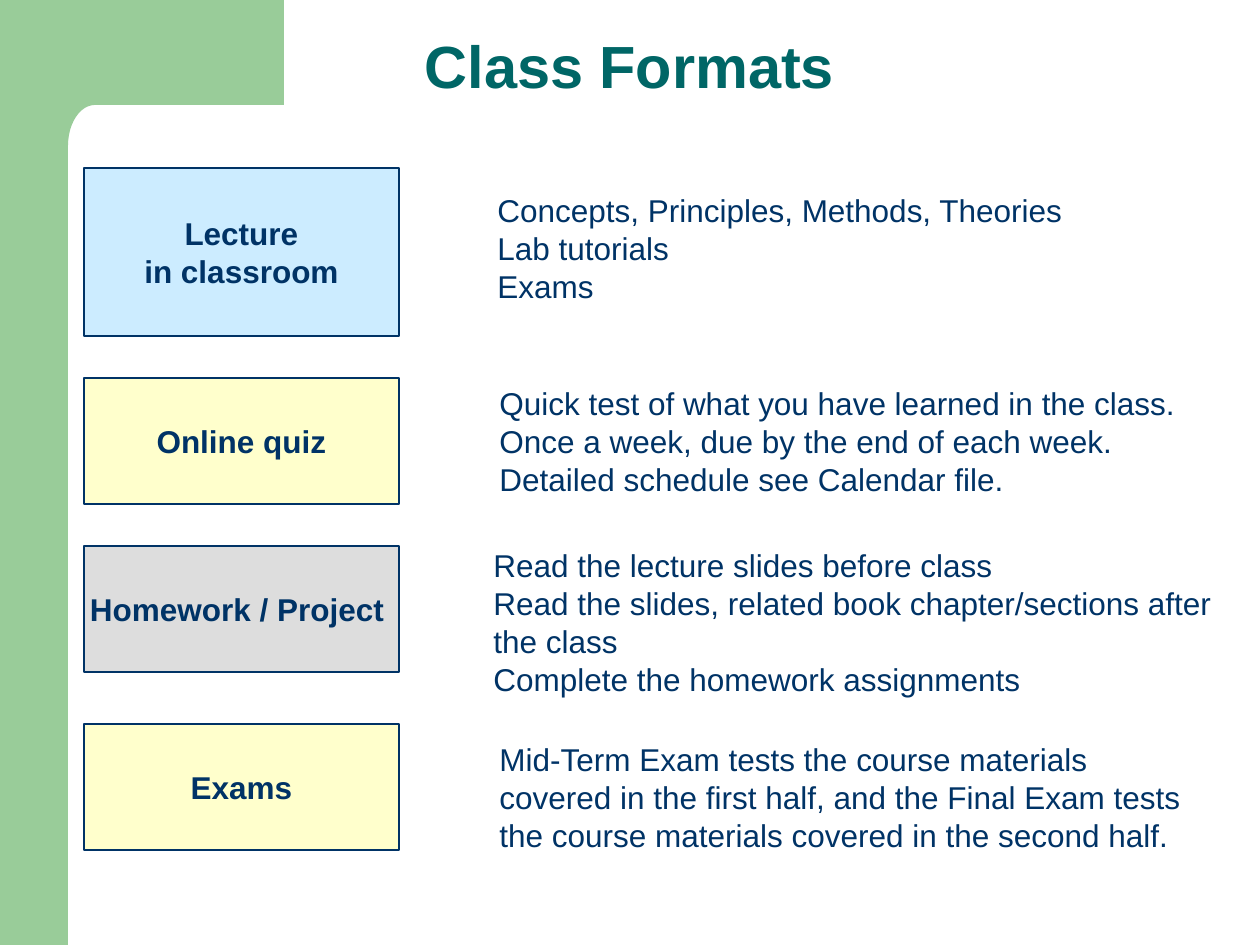
"""Build the Class Formats slide."""
from math import cos, pi, sin

from pptx import Presentation
from pptx.dml.color import RGBColor
from pptx.enum.shapes import MSO_SHAPE
from pptx.enum.text import MSO_ANCHOR, MSO_AUTO_SIZE, PP_ALIGN
from pptx.util import Inches, Pt

RECTANGLE = MSO_SHAPE.RECTANGLE
MIDDLE, TOP = MSO_ANCHOR.MIDDLE, MSO_ANCHOR.TOP
CENTER, LEFT = PP_ALIGN.CENTER, PP_ALIGN.LEFT
FIT_SHAPE, NO_FIT = MSO_AUTO_SIZE.SHAPE_TO_FIT_TEXT, MSO_AUTO_SIZE.NONE

GREEN = RGBColor(0x99, 0xCC, 0x99)
TEAL = RGBColor(0x00, 0x66, 0x66)
NAVY = RGBColor(0x00, 0x33, 0x66)
BLUE = RGBColor(0xCC, 0xEC, 0xFF)
YELLOW = RGBColor(0xFF, 0xFF, 0xCC)
GRAY = RGBColor(0xDD, 0xDD, 0xDD)

FONT = "Arial"
EMU_PER_PX = Inches(1) / 126
SLIDE_SIZE = (1260, 945)
LABEL_LEFT, LABEL_WIDTH = 84, 315

FORMATS = [
    (["Lecture", "in classroom"], BLUE, 168, 168, (485, 185, 753, 126),
     ["Concepts, Principles, Methods, Theories", "Lab tutorials", "Exams"]),
    (["Online quiz"], YELLOW, 378, 126, (487, 378, 709, 127),
     ["Quick test of what you have learned in the class.",
      "Once a week, due by the end of each week.",
      "Detailed schedule see Calendar file."]),
    (["Homework / Project "], GRAY, 546, 126, (481, 540, 747, 165),
     ["Read the lecture slides before class",
      "Read the slides, related book chapter/sections after the class",
      "Complete the homework assignments"]),
    (["Exams"], YELLOW, 724, 126, (487, 734, 709, 127),
     ["Mid-Term Exam tests the course materials covered in the first half, "
      "and the Final Exam tests the course materials covered in the second half."]),
]


def px(*lengths):
    """Turn pixel lengths into a list of EMU."""
    return [round(length * EMU_PER_PX) for length in lengths]


def write_text(shape, lines, size=18, color=NAVY, bold=False, align=LEFT,
               anchor=TOP, wrap=True, fit=NO_FIT, spacing=None):
    """Fill a shape with one formatted paragraph for each line."""
    frame = shape.text_frame
    frame.text = "\n".join(lines)
    frame.word_wrap, frame.auto_size, frame.vertical_anchor = wrap, fit, anchor
    for paragraph in frame.paragraphs:
        paragraph.alignment = align
        paragraph.line_spacing = spacing
        font = paragraph.runs[0].font
        font.name, font.size, font.bold = FONT, Pt(size), bold
        font.color.rgb = color


def paint(shape, fill, line=None):
    """Give a shape a flat fill and an optional outline."""
    shape.shadow.inherit = False
    shape.fill.solid()
    shape.fill.fore_color.rgb = fill
    if line is None:
        shape.line.fill.background()
    else:
        shape.line.color.rgb = line
        shape.line.width = Pt(0.75)


def add_frame(slide, left, top, width, height):
    """Add the green side bar and the corner block with its rounded inside."""
    bar_width, block_left, block_height = 68, 40, 105
    radius_x, radius_y, steps = 27, 41, 12
    right, bottom = left + width, top + block_height
    inner = left + bar_width
    angles = [pi / 2 * step / steps for step in range(steps + 1)]
    curve = [(inner + radius_x * (1 - sin(angle)),
              bottom + radius_y * (1 - cos(angle))) for angle in angles]
    outline = [(right, top), (right, bottom), *curve,
               (inner, top + 161), (left + block_left, top + 161),
               (left + block_left, top)]
    points = [px(*point) for point in outline]
    builder = slide.shapes.build_freeform(*points[0], scale=1.0)
    builder.add_line_segments(points[1:], close=True)
    bar = slide.shapes.add_shape(RECTANGLE, *px(left, top, bar_width, height))
    for shape in (bar, builder.convert_to_shape()):
        paint(shape, GREEN)
        slide.shapes.title.element.addprevious(shape.element)


def add_title(slide, left, top, width, height):
    """Place and format the slide title."""
    title = slide.shapes.title
    title.left, title.top, title.width, title.height = px(left, top, width, height)
    write_text(title, ["Class Formats"], size=34, color=TEAL, bold=True,
               align=CENTER, anchor=MIDDLE, spacing=0.85)


def add_format(slide, label, fill, top, height, details_box, details):
    """Add one class format: its coloured label and its description."""
    box = slide.shapes.add_shape(RECTANGLE, *px(LABEL_LEFT, top, LABEL_WIDTH, height))
    paint(box, fill, NAVY)
    write_text(box, label, bold=True, align=CENTER, anchor=MIDDLE, wrap=False)
    description = slide.shapes.add_textbox(*px(*details_box))
    write_text(description, details, fit=FIT_SHAPE)


def main():
    """Build and save the presentation."""
    presentation = Presentation()
    presentation.slide_width, presentation.slide_height = px(*SLIDE_SIZE)
    slide = presentation.slides.add_slide(presentation.slide_layouts[5])
    add_frame(slide, 0, 0, 284, SLIDE_SIZE[1])
    add_title(slide, 92, 26, 1075, 88)
    for class_format in FORMATS:
        add_format(slide, *class_format)
    presentation.save("out.pptx")


if __name__ == "__main__":
    main()
